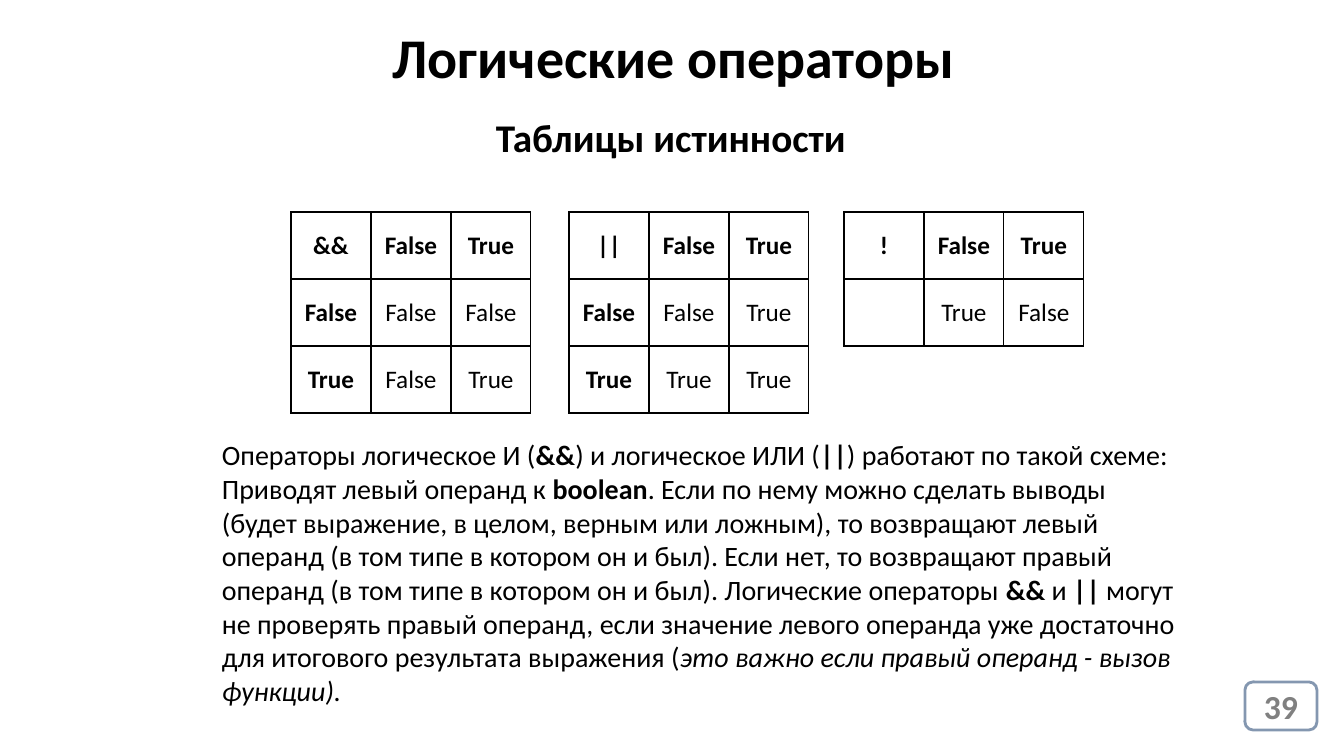
"""Build the slide on logical operators and their truth tables."""
import pptx
import pptx.util
import pptx.dml.color
import pptx.enum.shapes
import pptx.enum.text
import pptx.oxml
import pptx.oxml.ns

PX = 914400 / 100.8
BLACK = pptx.dml.color.RGBColor(0x00, 0x00, 0x00)
WHITE = pptx.dml.color.RGBColor(0xFF, 0xFF, 0xFF)
GREY = pptx.dml.color.RGBColor(0x80, 0x80, 0x80)
BLUE_GREY = pptx.dml.color.RGBColor(0x84, 0x97, 0xB0)
CENTER = pptx.enum.text.PP_ALIGN.CENTER
MIDDLE = pptx.enum.text.MSO_ANCHOR.MIDDLE


def px(*lengths):
    return [round(length * PX) for length in lengths]


def style(paragraph, size, bold, color=BLACK):
    for run in paragraph.runs:
        run.font.name = "Calibri"
        run.font.size = pptx.util.Pt(size)
        run.font.bold = bold
        run.font.color.rgb = color


deck = pptx.Presentation()
deck.slide_width, deck.slide_height = px(1344, 756)
slide = deck.slides.add_slide(deck.slide_layouts[6])

page_number = slide.shapes.add_shape(
    pptx.enum.shapes.MSO_SHAPE.ROUNDED_RECTANGLE, *px(1245, 682, 72, 48))
page_number.shadow.inherit = False
page_number.fill.solid()
page_number.fill.fore_color.rgb = WHITE
page_number.line.color.rgb = BLUE_GREY
page_number.line.width = pptx.util.Pt(2)
page_number.text_frame.text = "39"
page_number.text_frame.vertical_anchor = MIDDLE
page_number.text_frame.paragraphs[0].alignment = CENTER
style(page_number.text_frame.paragraphs[0], 24, True, GREY)

title = slide.shapes.add_textbox(*px(220, -3, 907, 126)).text_frame
title.word_wrap = True
title.vertical_anchor = MIDDLE
title.text = "Логические операторы"
title.paragraphs[0].alignment = CENTER
title.paragraphs[0].line_spacing = 0.9
style(title.paragraphs[0], 40, True)

truth_tables = [
    (291, [["&&", "False", "True"], ["False", "False", "False"], ["True", "False", "True"]]),
    (569, [["||", "False", "True"], ["False", "False", "True"], ["True", "True", "True"]]),
    (844, [["!", "False", "True"], ["", "True", "False"]]),
]
COLUMN, ROW = 80, 67
for left, values in truth_tables:
    truth = slide.shapes.add_table(
        len(values), 3, *px(left, 212, 3 * COLUMN, len(values) * ROW)).table
    for row, line in enumerate(values):
        for column, value in enumerate(line):
            cell = truth.cell(row, column)
            cell.vertical_anchor = MIDDLE
            cell.margin_left = cell.margin_right = px(4)[0]
            cell.text = value
            cell.text_frame.paragraphs[0].alignment = CENTER
            style(cell.text_frame.paragraphs[0], 18, row == 0 or column == 0)
            properties = cell._tc.get_or_add_tcPr()
            for side in ("lnL", "lnR", "lnT", "lnB"):
                properties.append(pptx.oxml.parse_xml(
                    f'<a:{side} {pptx.oxml.ns.nsdecls("a")} w="12700"><a:solidFill>'
                    f'<a:srgbClr val="{BLACK}"/></a:solidFill></a:{side}>'))
            cell.fill.solid()
            cell.fill.fore_color.rgb = WHITE

subtitle = slide.shapes.add_textbox(*px(486, 108, 374, 57)).text_frame
subtitle.word_wrap = False
subtitle.text = "Таблицы истинности"
style(subtitle.paragraphs[0], 28, True)

explanation = slide.shapes.add_textbox(*px(212, 433, 978, 281)).text_frame
explanation.word_wrap = True
phrases = [
    "Операторы логическое И (", "&&", ") и логическое ИЛИ (", "||",
    ") работают по такой схеме: Приводят левый операнд к ", "boolean",
    ". Если по нему можно сделать выводы (будет выражение, в целом, верным или "
    "ложным), то возвращают левый операнд (в том типе в котором он и был). Если нет, "
    "то возвращают правый операнд (в том типе в котором он и был). Логические операторы ",
    "&& ", "и ", "|| ",
    "могут не проверять правый операнд, если значение левого операнда уже достаточно "
    "для итогового результата выражения (",
]
paragraph = explanation.paragraphs[0]
for phrase in phrases:
    paragraph.add_run().text = phrase
remark = paragraph.add_run()
remark.text = "это важно если правый операнд - вызов функции)."
remark.font.italic = True
style(paragraph, 20, False)
for term in paragraph.runs[1:10:2]:
    term.font.bold = True

deck.save("out.pptx")
